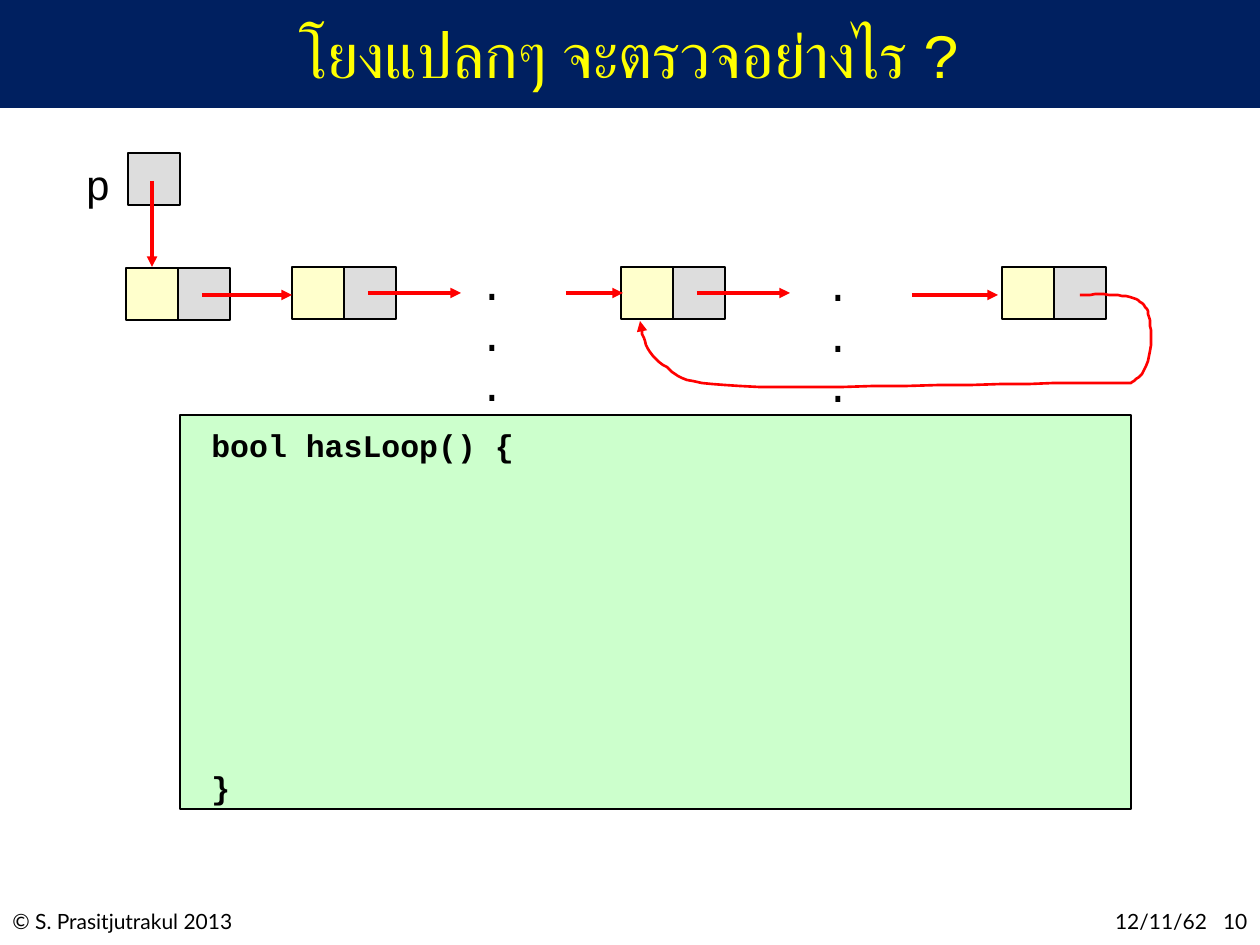
from lxml import etree
from pptx import Presentation
from pptx.dml.color import RGBColor
from pptx.enum.shapes import MSO_CONNECTOR, MSO_SHAPE
from pptx.enum.text import MSO_ANCHOR, PP_ALIGN
from pptx.oxml.ns import qn
from pptx.util import Pt

SCALE = 914400 / 126
RECTANGLE = MSO_SHAPE.RECTANGLE
STRAIGHT = MSO_CONNECTOR.STRAIGHT
LEFT, CENTER, RIGHT = PP_ALIGN.LEFT, PP_ALIGN.CENTER, PP_ALIGN.RIGHT
TOP, MIDDLE = MSO_ANCHOR.TOP, MSO_ANCHOR.MIDDLE

NAVY = RGBColor(0x00, 0x20, 0x60)
YELLOW = RGBColor(0xFF, 0xFF, 0x00)
BLACK = RGBColor(0x00, 0x00, 0x00)
RED = RGBColor(0xFF, 0x00, 0x00)
CREAM = RGBColor(0xFF, 0xFF, 0xCC)
GRAY = RGBColor(0xDD, 0xDD, 0xDD)
GREEN = RGBColor(0xCC, 0xFF, 0xCC)

MONO, SANS = "Courier New", "Lato"
CELL = 52
CODE = [" bool hasLoop() {", " }"]
CODE_GAP = Pt(174)

TEXTS = [
    ("© S. Prasitjutrakul 2013", (0, 903, 410, 38), SANS, 12, BLACK, LEFT, TOP, 6),
    ("12/11/62   10", (987, 903, 273, 38), SANS, 12, BLACK, RIGHT, TOP, 6),
    ("โยงแปลกๆ จะตรวจอย่างไร ?", (95, 1, 1071, 105), MONO, 36, YELLOW, CENTER, MIDDLE, 6),
    ("p", (73, 147, 49, 63), MONO, 24, BLACK, LEFT, TOP, 12),
    (". . .", (467, 247, 84, 63), MONO, 24, BLACK, LEFT, TOP, 12),
    (". . .", (813, 248, 84, 63), MONO, 24, BLACK, LEFT, TOP, 12),
]
NODES = [(126, 268), (292, 267), (621, 267), (1002, 267)]
POINTER = (128, 153)
ARROWS = [
    ((152, 181), (152, 267)),
    ((202, 295), (292, 295)),
    ((368, 293), (461, 293)),
    ((566, 293), (623, 293)),
    ((697, 293), (790, 293)),
    ((912, 295), (998, 295)),
]
LOOP_START = (1080, 295)
LOOP_CURVES = [
    ((1100, 294), (1120, 294), (1133, 298)),
    ((1144, 302), (1149, 309), (1150, 323)),
    ((1152, 335), (1152, 367), (1139, 377)),
    ((1126, 387), (1138, 382), (1072, 383)),
    ((1005, 384), (808, 389), (740, 386)),
    ((672, 383), (679, 375), (663, 365)),
    ((646, 354), (643, 338), (640, 321)),
]
STEPS = 12


def emu(*lengths):
    return [round(length * SCALE) for length in lengths]


def add_box(slide, box, fill, line=None):
    shape = slide.shapes.add_shape(RECTANGLE, *emu(*box))
    shape.shadow.inherit = False
    shape.fill.solid()
    shape.fill.fore_color.rgb = fill
    if line is None:
        shape.line.fill.background()
    else:
        shape.line.color.rgb = line
        shape.line.width = Pt(0.75)
    return shape


def style_paragraph(paragraph, font, size, color, alignment):
    paragraph.alignment = alignment
    paragraph.font.name = font
    paragraph.font.size = Pt(size)
    paragraph.font.color.rgb = color


def add_text(slide, text, box, font, size, color, alignment, anchor, inset):
    frame = slide.shapes.add_textbox(*emu(*box)).text_frame
    frame.word_wrap = True
    frame.vertical_anchor = anchor
    frame.margin_top = emu(inset)[0]
    frame.text = text
    style_paragraph(frame.paragraphs[0], font, size, color, alignment)


def style_arrow(shape, width):
    shape.line.color.rgb = RED
    shape.line.width = Pt(width)
    etree.SubElement(shape.line._get_or_add_ln(), qn("a:tailEnd"), type="triangle")


def add_arrow(slide, start, end):
    connector = slide.shapes.add_connector(STRAIGHT, *emu(*start, *end))
    style_arrow(connector, 2)
    etree.SubElement(connector._element.spPr, qn("a:effectLst"))


def curve_points(start, curves):
    points = []
    for first, second, end in curves:
        for step in range(1, STEPS + 1):
            t = step / STEPS
            weights = ((1 - t) ** 3, 3 * t * (1 - t) ** 2, 3 * t * t * (1 - t), t ** 3)
            corners = (start, first, second, end)
            points.append(tuple(
                sum(weight * corner[axis] for weight, corner in zip(weights, corners))
                for axis in (0, 1)
            ))
        start = end
    return points


def add_loop(slide):
    builder = slide.shapes.build_freeform(*LOOP_START, scale=SCALE)
    builder.add_line_segments(curve_points(LOOP_START, LOOP_CURVES), close=False)
    shape = builder.convert_to_shape()
    shape.shadow.inherit = False
    shape.fill.background()
    style_arrow(shape, 1.5)


def add_code(slide):
    frame = add_box(slide, (180, 415, 951, 394), GREEN, BLACK).text_frame
    frame.word_wrap = True
    frame.vertical_anchor = TOP
    frame.margin_top = emu(11)[0]
    frame.text = "\n".join(CODE)
    for paragraph in frame.paragraphs:
        style_paragraph(paragraph, MONO, 18, BLACK, LEFT)
        paragraph.font.bold = True
    frame.paragraphs[-1].space_before = CODE_GAP


def main():
    presentation = Presentation()
    presentation.slide_width, presentation.slide_height = emu(1260, 945)
    slide = presentation.slides.add_slide(presentation.slide_layouts[6])
    add_box(slide, (0, 0, 1260, 108), NAVY)
    for text in TEXTS:
        add_text(slide, *text)
    for left, top in NODES:
        for column, fill in enumerate((CREAM, GRAY)):
            add_box(slide, (left + column * CELL, top, CELL, CELL), fill, BLACK)
    add_box(slide, (*POINTER, CELL, CELL), GRAY, BLACK)
    for start, end in ARROWS:
        add_arrow(slide, start, end)
    add_loop(slide)
    add_code(slide)
    presentation.save("out.pptx")


if __name__ == "__main__":
    main()
